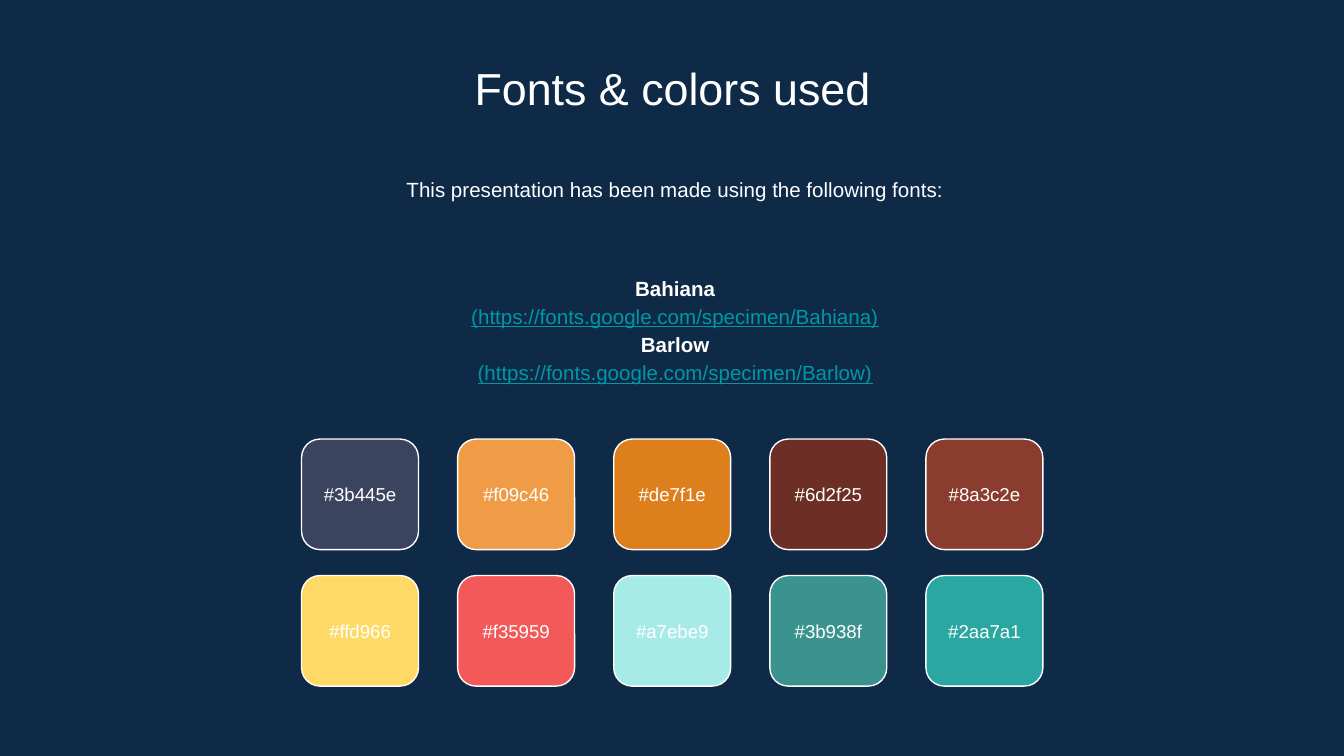
from typing import NamedTuple

from pptx import Presentation
from pptx.dml.color import RGBColor
from pptx.enum.shapes import MSO_SHAPE
from pptx.enum.text import MSO_ANCHOR as Anchor, MSO_AUTO_SIZE as AutoSize, PP_ALIGN as Align
from pptx.util import Cm, Pt

WHITE, NAVY, LINK = "FFFFFF", "0E2A47", "0097A7"
FONT = "Arial"
INSET = 0.25
COLUMNS = 5
TILE_LEFT, TILE_TOP = 5.7, 8.3
TILE_WIDTH, TILE_HEIGHT = 2.21, 2.09
COLUMN_PITCH, ROW_PITCH = 2.95, 2.58
LABEL_HEIGHT = 1.22
PALETTE = [
    "3b445e", "f09c46", "de7f1e", "6d2f25", "8a3c2e",
    "ffd966", "f35959", "a7ebe9", "3b938f", "2aa7a1",
]


class Box(NamedTuple):
    """Position and size in centimetres."""
    left: float
    top: float
    width: float
    height: float

    def lengths(self) -> list:
        return [Cm(value) for value in self]


class Line(NamedTuple):
    text: str
    size: float
    color: str = WHITE
    bold: bool = False
    underline: bool = False
    spacing: float = 1.0


def rgb(color: str) -> RGBColor:
    return RGBColor.from_string(color.upper())


def write(frame, lines: list[Line], anchor=Anchor.TOP) -> None:
    frame_format = {
        "word_wrap": True, "auto_size": AutoSize.NONE, "vertical_anchor": anchor,
        "margin_left": Cm(INSET), "margin_right": Cm(INSET),
        "margin_top": Cm(INSET), "margin_bottom": Cm(INSET),
    }
    for name, value in frame_format.items():
        setattr(frame, name, value)
    for index, line in enumerate(lines):
        paragraph = frame.paragraphs[0] if index == 0 else frame.add_paragraph()
        paragraph.alignment = Align.CENTER
        paragraph.line_spacing = line.spacing
        paragraph.space_before = Pt(0)
        run = paragraph.add_run()
        run.text = line.text
        font_format = {
            "name": FONT, "size": Pt(line.size),
            "bold": line.bold, "underline": line.underline,
        }
        for name, value in font_format.items():
            setattr(run.font, name, value)
        run.font.color.rgb = rgb(line.color)


def add_text(slide, box: Box, lines: list[Line], anchor=Anchor.TOP) -> None:
    write(slide.shapes.add_textbox(*box.lengths()).text_frame, lines, anchor)


def set_title(slide, box: Box, line: Line) -> None:
    title = slide.shapes.title
    title.left, title.top, title.width, title.height = box.lengths()
    write(title.text_frame, [line])


def add_swatch(slide, box: Box, color: str) -> None:
    """Draw a rounded tile with its hex code centred on it."""
    tile = slide.shapes.add_shape(MSO_SHAPE.ROUNDED_RECTANGLE, *box.lengths())
    tile.shadow.inherit = False
    tile.fill.solid()
    tile.fill.fore_color.rgb = rgb(color)
    tile.line.color.rgb = rgb(WHITE)
    tile.line.width = Pt(0.75)
    label_top = box.top + (box.height - LABEL_HEIGHT) / 2
    label = box._replace(top=label_top, height=LABEL_HEIGHT)
    add_text(slide, label, [Line(f"#{color}", 10)], Anchor.MIDDLE)


def main() -> None:
    deck = Presentation()
    deck.slide_width, deck.slide_height = Cm(25.4), Cm(14.29)
    slide = deck.slides.add_slide(deck.slide_layouts[5])
    slide.background.fill.solid()
    slide.background.fill.fore_color.rgb = rgb(NAVY)

    set_title(slide, Box(2.92, 0.89, 19.58, 1.35), Line("Fonts & colors used", 24))
    intro = Line("This presentation has been made using the following fonts:", 11, spacing=1.15)
    add_text(slide, Box(2.97, 3.02, 19.58, 1.22), [intro])

    font_lines = []
    for family in ("Bahiana", "Barlow"):
        address = f"(https://fonts.google.com/specimen/{family})"
        font_lines += [
            Line(family, 11, bold=True, spacing=1.15),
            Line(address, 11, LINK, underline=True, spacing=1.15),
        ]
    add_text(slide, Box(2.97, 4.47, 19.58, 3.48), font_lines, Anchor.MIDDLE)

    for index, color in enumerate(PALETTE):
        row, column = divmod(index, COLUMNS)
        left = TILE_LEFT + column * COLUMN_PITCH
        top = TILE_TOP + row * ROW_PITCH
        add_swatch(slide, Box(left, top, TILE_WIDTH, TILE_HEIGHT), color)

    deck.save("out.pptx")


if __name__ == "__main__":
    main()
